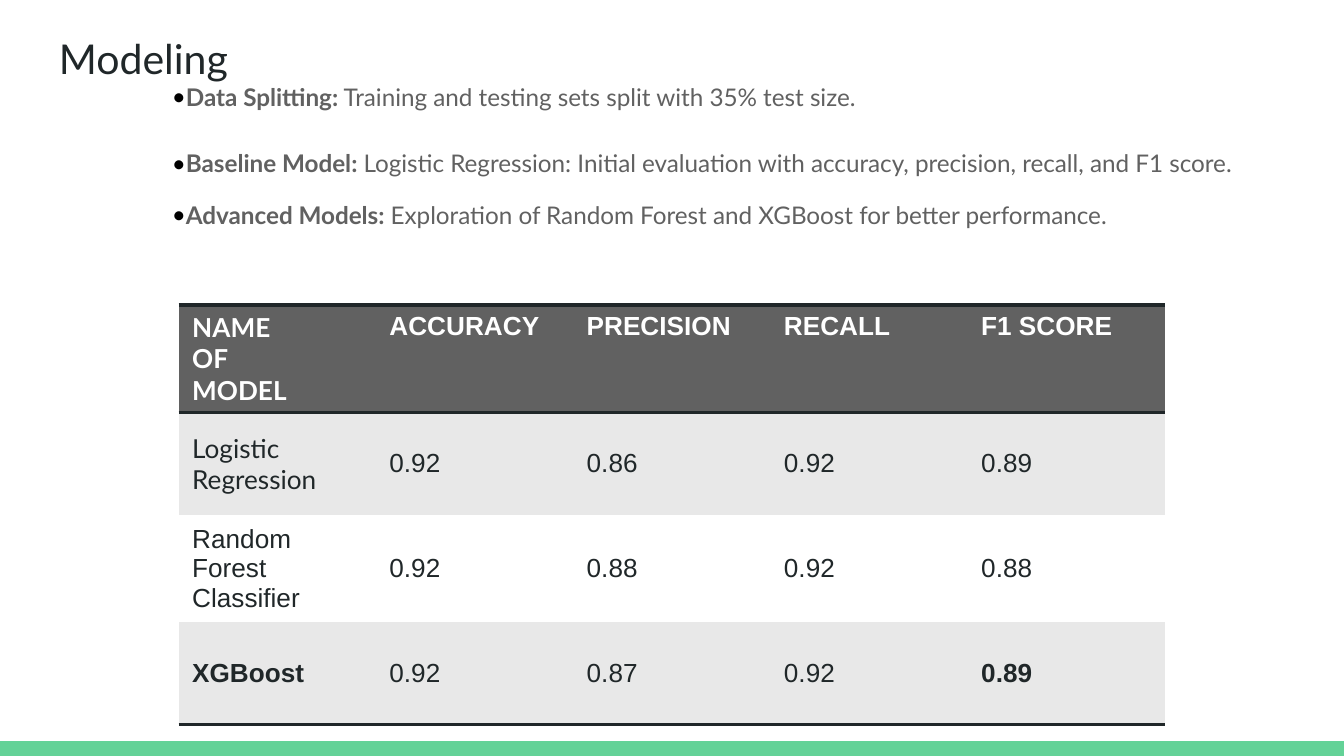
import pptx
import pptx.util
import pptx.dml.color
import pptx.enum.shapes
import pptx.enum.text
import pptx.oxml
import pptx.oxml.ns
from dataclasses import dataclass

Inches, Pt = pptx.util.Inches, pptx.util.Pt
WIDTH = Inches(10)
HEIGHT = WIDTH * 9 // 16
NO_STYLE = "{2D5ABB26-0587-4C30-8999-92F81FD0307C}"


@dataclass(frozen=True)
class Theme:
    ink: str = "202729"
    grey: str = "616161"
    band: str = "E8E8E8"
    white: str = "FFFFFF"
    green: str = "63D297"
    bullet: str = "000000"
    heading_font: str = "Lato"
    table_font: str = "Arial"
    title_size: int = 22
    body_size: int = 13
    table_size: int = 14


THEME = Theme()

BULLETS = [
    ("Data Splitting:", " Training and testing sets split with 35% test size."),
    ("Baseline Model:", " Logistic Regression: Initial evaluation with accuracy, "
                        "precision, recall, and F1 score."),
    ("Advanced Models:", " Exploration of Random Forest and XGBoost for better performance."),
]
SCORES = [
    ("NAME\nOF\nMODEL", "ACCURACY", "PRECISION", "RECALL", "F1 SCORE"),
    ("Logistic Regression", "0.92", "0.86", "0.92", "0.89"),
    ("Random Forest Classifier", "0.92", "0.88", "0.92", "0.88"),
    ("XGBoost", "0.92", "0.87", "0.92", "0.89"),
]
LATO_CELLS = {(0, 0), (1, 0)}
BEST_CELLS = {(3, 0), (3, 4)}


def rgb(value):
    return pptx.dml.color.RGBColor.from_string(value)


def apply_format(target, values):
    for name, value in values.items():
        setattr(target, name, value)


def format_font(font, name, size, color, bold=False):
    apply_format(font, {"name": name, "size": Pt(size), "bold": bold})
    font.color.rgb = rgb(color)


def append_xml(parent, tag, content="", attributes=""):
    namespace = pptx.oxml.ns.nsdecls("a")
    parent.append(pptx.oxml.parse_xml(
        f"<a:{tag} {namespace} {attributes}>{content}</a:{tag}>"))


def color_xml(color):
    return f'<a:srgbClr val="{color}"/>'


def add_text_frame(slide, box, margins):
    """Add a wrapping text box; margins run left, top, right, bottom."""
    frame = slide.shapes.add_textbox(*map(Inches, box)).text_frame
    frame.word_wrap = True
    sides = ("margin_left", "margin_top", "margin_right", "margin_bottom")
    apply_format(frame, dict(zip(sides, map(Inches, margins))))
    return frame


def add_title(slide, text):
    frame = add_text_frame(slide, (0.34, 0.15, 9.32, 0.63), (0.1,) * 4)
    run = frame.paragraphs[0].add_run()
    run.text = text
    format_font(run.font, THEME.heading_font, THEME.title_size, THEME.ink)


def add_bullet_mark(paragraph):
    properties = paragraph._p.get_or_add_pPr()
    properties.set("marL", str(Inches(0.25)))
    properties.set("indent", str(Inches(-0.1)))
    append_xml(properties, "buClr", color_xml(THEME.bullet))
    append_xml(properties, "buSzPts", attributes=f'val="{THEME.body_size * 100}"')
    append_xml(properties, "buFont", attributes=f'typeface="{THEME.heading_font}"')
    append_xml(properties, "buChar", attributes='char="•"')


def add_bullets(slide, bullets):
    frame = add_text_frame(slide, (0.92, 0.61, 8.47, 1.32), (0.21, 0, 0, 0.21))
    for index, parts in enumerate(bullets):
        paragraph = frame.add_paragraph() if index else frame.paragraphs[0]
        add_bullet_mark(paragraph)
        paragraph.font.size = Pt(THEME.body_size)
        apply_format(paragraph, {"space_before": Pt(12)} if index else {"space_after": Pt(8)})
        for text, bold in zip(parts, (True, False)):
            run = paragraph.add_run()
            run.text = text
            format_font(run.font, THEME.heading_font, THEME.body_size, THEME.grey, bold)


def add_border(cell, tag):
    append_xml(cell._tc.get_or_add_tcPr(), tag,
               f"<a:solidFill>{color_xml(THEME.ink)}</a:solidFill>", f'w="{Pt(2)}"')


def fill_cell(cell, text, row, column, last_row):
    header = row == 0
    # Rules above and below the header and under the last row
    if header:
        add_border(cell, "lnT")
    if row in (0, last_row):
        add_border(cell, "lnB")
    cell.fill.solid()
    cell.fill.fore_color.rgb = rgb(
        THEME.grey if header else THEME.band if row % 2 else THEME.white)
    anchors = pptx.enum.text.MSO_ANCHOR
    cell.vertical_anchor = anchors.TOP if header else anchors.MIDDLE
    cell.text = text
    name = THEME.heading_font if (row, column) in LATO_CELLS else THEME.table_font
    for paragraph in cell.text_frame.paragraphs:
        for run in paragraph.runs:
            format_font(run.font, name, THEME.table_size,
                        THEME.white if header else THEME.ink,
                        header or (row, column) in BEST_CELLS)


def add_score_table(slide, rows):
    row_count, column_count = len(rows), len(rows[0])
    frame = slide.shapes.add_table(
        row_count, column_count, Inches(1.33), Inches(2.27),
        Inches(7.34), Inches(0.76) * row_count)
    table = frame.table
    apply_format(table, {"first_row": False, "horz_banding": False})
    for style in frame._element.iter(pptx.oxml.ns.qn("a:tableStyleId")):
        style.text = NO_STYLE
    for row, values in enumerate(rows):
        for column, text in enumerate(values):
            fill_cell(table.cell(row, column), text, row, column, row_count - 1)


def add_footer_bar(slide):
    height = Inches(0.11)
    bar = slide.shapes.add_shape(pptx.enum.shapes.MSO_SHAPE.RECTANGLE,
                                 0, HEIGHT - height, WIDTH, height)
    bar.shadow.inherit = False
    bar.fill.solid()
    bar.fill.fore_color.rgb = rgb(THEME.green)
    bar.line.fill.background()


def main():
    presentation = pptx.Presentation()
    apply_format(presentation, {"slide_width": WIDTH, "slide_height": HEIGHT})
    slide = presentation.slides.add_slide(presentation.slide_layouts[6])
    add_footer_bar(slide)
    add_title(slide, "Modeling")
    add_bullets(slide, BULLETS)
    add_score_table(slide, SCORES)
    presentation.save("out.pptx")


if __name__ == "__main__":
    main()
